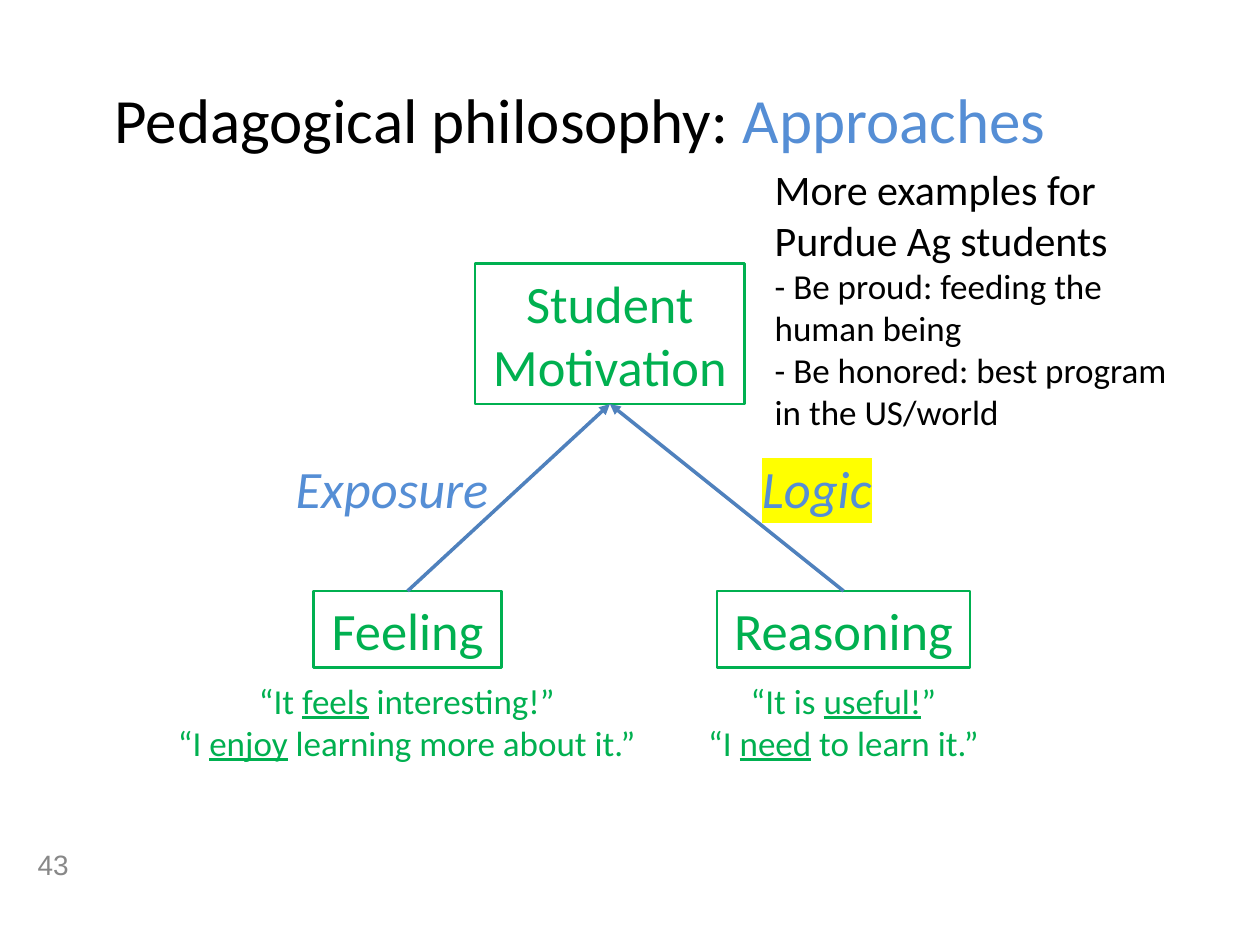
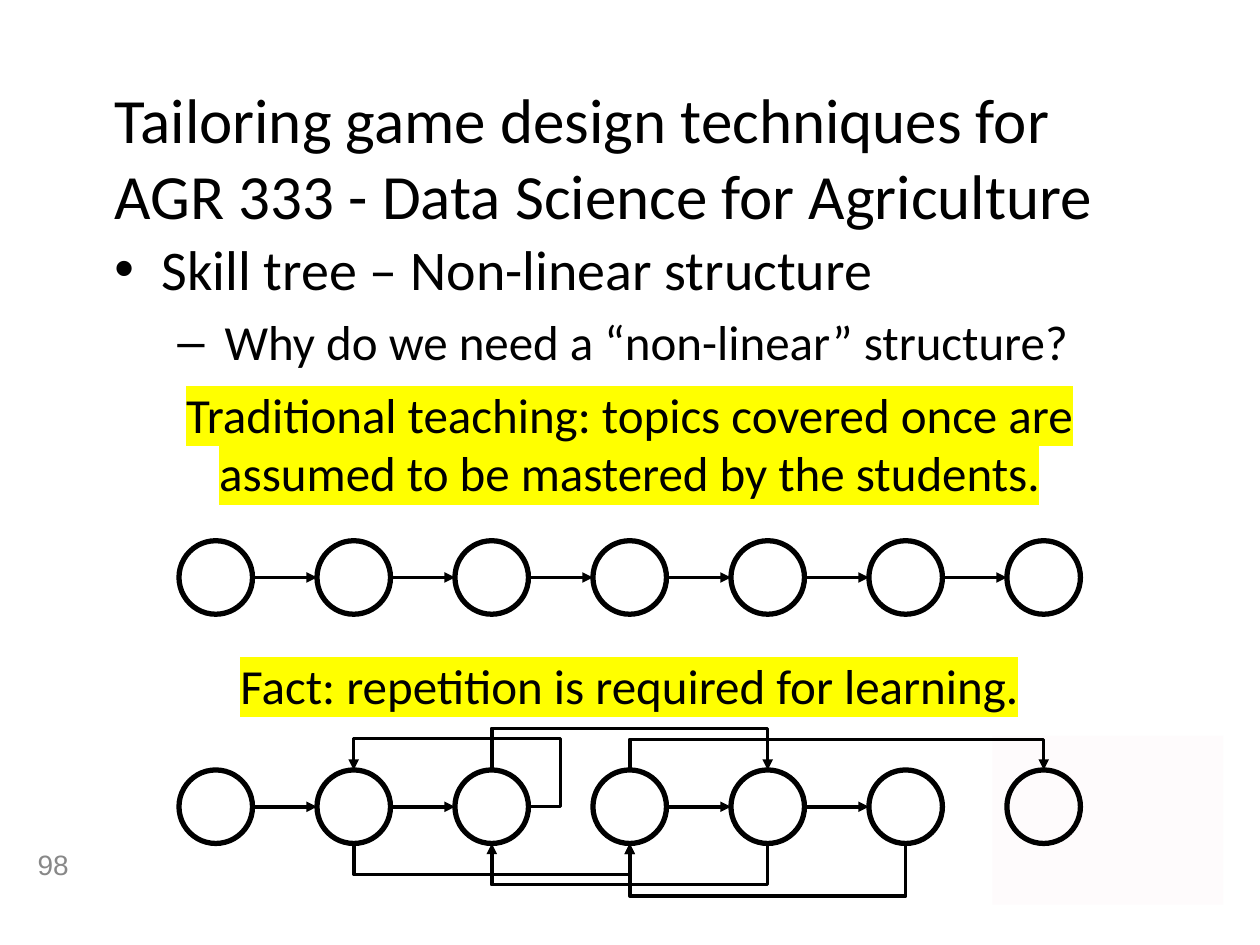
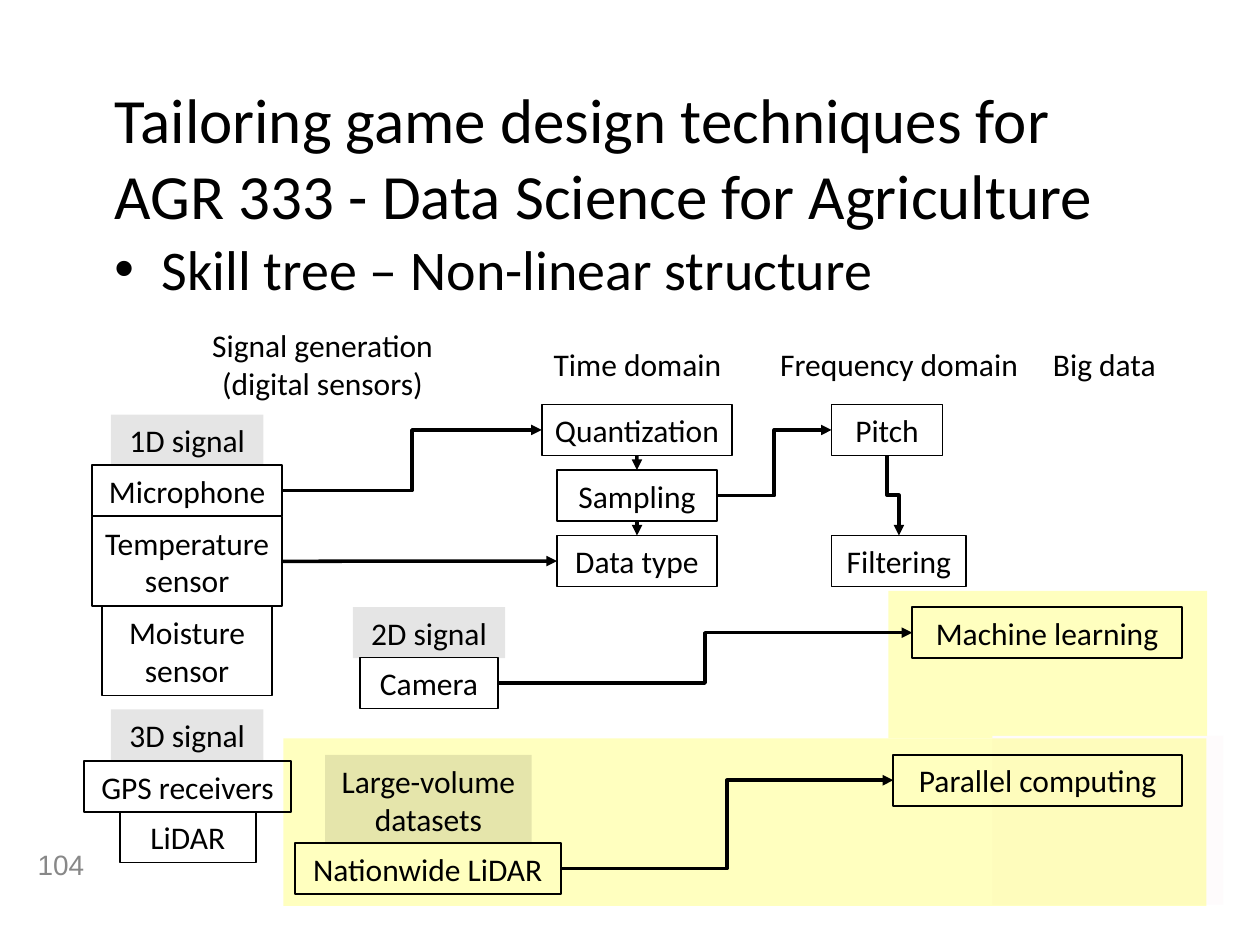
from lxml.etree import SubElement
from pptx import Presentation
from pptx.dml.color import RGBColor
from pptx.enum.shapes import MSO_CONNECTOR, MSO_SHAPE
from pptx.enum.text import MSO_ANCHOR, MSO_AUTO_SIZE, PP_ALIGN
from pptx.oxml.ns import qn
from pptx.util import Pt

BLACK, GREEN, BLUE, ARROW_BLUE = "000000", "00B050", "558ED5", "4F81BD"
YELLOW, GREY, PALE = "FFFF00", "888888", "FEFBFC"
TITLE_ONLY = 5
LEFT, CENTER = PP_ALIGN.LEFT, PP_ALIGN.CENTER
TOP, MIDDLE = MSO_ANCHOR.TOP, MSO_ANCHOR.MIDDLE
COURSE_TITLE = "Tailoring game design techniques for AGR 333 - Data Science for Agriculture"
SKILL_TREE = ("Skill tree – Non-linear structure", 32, "•", 27)
PALE_PATCH = (567, 420.5, 132, 96.5)


def color(hex_value):
    return RGBColor.from_string(hex_value)


def text_height(size, lines):
    """Height of a box that fits its lines and the standard insets."""
    return round(size * 1.22 * lines + 7.2, 1)


class Deck:
    """Holds the shared style and the slide being built."""

    def __init__(self):
        self.prs = Presentation()
        self.prs.slide_width, self.prs.slide_height = Pt(720), Pt(540)
        self.slide = None

    def new_slide(self, number, *title_runs):
        self.slide = self.prs.slides.add_slide(self.prs.slide_layouts[TITLE_ONLY])
        title = self.slide.shapes.title
        geometry = dict(left=58.3, top=42.5, width=602.6, height=95)
        for name, value in geometry.items():
            setattr(title, name, Pt(value))
        self.set_text(title, [title_runs], 36, align=LEFT, anchor=TOP)
        self.text((14.4, 479.5, 44, 28.8), [[number]], 16, GREY, anchor=MIDDLE, font="Arial")

    # Text
    def set_text(self, shape, paragraphs, size, ink=BLACK, align=LEFT, anchor=TOP,
                 wrap=True, font="Calibri"):
        """Each paragraph is a list of runs: plain strings or (string, format) pairs."""
        frame = shape.text_frame
        settings = dict(word_wrap=wrap, vertical_anchor=anchor, auto_size=MSO_AUTO_SIZE.NONE)
        for name, value in settings.items():
            setattr(frame, name, value)
        for index, runs in enumerate(paragraphs):
            paragraph = frame.add_paragraph() if index else frame.paragraphs[0]
            paragraph.alignment = align
            for item in runs:
                words, extra = item if isinstance(item, tuple) else (item, {})
                for position, line in enumerate(words.split("\n")):
                    if position:
                        paragraph.add_line_break()
                    self.add_run(paragraph, line, dict(size=size, ink=ink, name=font) | extra)
        return frame

    def add_run(self, paragraph, words, style):
        run = paragraph.add_run()
        run.text = words
        style = dict(style)
        highlight = style.pop("highlight", None)
        run.font.color.rgb = color(style.pop("ink"))
        style["size"] = Pt(style["size"])
        for name, value in style.items():
            setattr(run.font, name, value)
        if highlight:
            properties = run.font._element
            mark = SubElement(properties, qn("a:highlight"))
            SubElement(mark, qn("a:srgbClr"), val=highlight)
            properties.find(qn("a:solidFill")).addnext(mark)

    def text(self, area, paragraphs, size, ink=BLACK, **layout):
        box = self.slide.shapes.add_textbox(*map(Pt, area))
        return self.set_text(box, paragraphs, size, ink, **layout)

    def caption(self, x, y, width, lines, size, ink=BLACK, **run_format):
        """Centred lines, one paragraph each."""
        area = (x, y, width, text_height(size, len(lines)))
        self.text(area, [[(line, run_format)] for line in lines], size, ink, align=CENTER)

    def bullets(self, *points):
        frame = self.text((58.3, 130.3, 602.6, 90), [[(words, dict(size=size))]
                          for words, size, _, _ in points], 32)
        for paragraph, (_, _, sign, margin) in zip(frame.paragraphs, points):
            properties = paragraph._p.get_or_add_pPr()
            properties.set("marL", str(Pt(margin)))
            properties.set("indent", str(-Pt(27)))
            SubElement(properties, qn("a:buFont"), typeface="Arial")
            SubElement(properties, qn("a:buChar"), char=sign)
            paragraph.space_after = Pt(6)

    # Shapes
    def shape(self, area, kind=MSO_SHAPE.RECTANGLE, fill=None, opacity=None,
              line=None, weight=1):
        item = self.slide.shapes.add_shape(kind, *map(Pt, area))
        item.shadow.inherit = False
        if fill:
            item.fill.solid()
            item.fill.fore_color.rgb = color(fill)
            if opacity:
                tint = item._element.spPr.find(".//" + qn("a:srgbClr"))
                SubElement(tint, qn("a:alpha"), val=str(opacity * 1000))
        else:
            item.fill.background()
        if line:
            item.line.color.rgb = color(line)
            item.line.width = Pt(weight)
        else:
            item.line.fill.background()
        return item

    def label(self, words, x, y, width, size=18, ink=BLACK, **look):
        """A rectangle as high as its text."""
        height = text_height(size, words.count("\n") + 1)
        item = self.shape((x, y, width, height), **look)
        self.set_text(item, [[words]], size, ink, CENTER, MIDDLE, wrap=False)
        return item

    # Arrows
    def finish_arrow(self, arrow, ink):
        arrow.line.color.rgb = color(ink)
        arrow.line.width = Pt(2)
        SubElement(arrow.line._get_or_add_ln(), qn("a:tailEnd"), type="triangle")

    def arrow(self, start, end, ink=BLACK, kind=MSO_CONNECTOR.STRAIGHT):
        """Each end is an (x, y) point or a (rectangle, side) pair."""
        ends = [edge for anchor in (start, end) for edge in self.locate(*anchor)]
        link = self.slide.shapes.add_connector(kind, *ends)
        for (target, side), join in ((start, link.begin_connect), (end, link.end_connect)):
            if hasattr(target, "left"):
                join(target, side)
        self.finish_arrow(link, ink)
        SubElement(link._element.spPr, qn("a:effectLst"))

    def locate(self, target, side):
        if not hasattr(target, "left"):
            return Pt(target), Pt(side)
        across, down = ((0.5, 0), (0, 0.5), (0.5, 1), (1, 0.5))[side]
        return (int(target.left + across * target.width),
                int(target.top + down * target.height))

    def route(self, *points):
        """A right-angled arrow through the given points."""
        start, *rest = [(Pt(x), Pt(y)) for x, y in points]
        builder = self.slide.shapes.build_freeform(*start)
        builder.add_line_segments(rest, close=False)
        track = builder.convert_to_shape()
        track.shadow.inherit = False
        track.fill.background()
        self.finish_arrow(track, BLACK)


def approaches_slide(deck):
    deck.new_slide("43", "Pedagogical philosophy: ", ("Approaches", dict(ink=BLUE)))

    # Motivation and its two sources
    green = dict(size=30, ink=GREEN, line=GREEN, weight=1.5)
    motivation = deck.label("Student\nMotivation", 271.5, 150.5, 154, **green)
    feeling = deck.label("Feeling", 179.3, 337.7, 107.3, **green)
    reasoning = deck.label("Reasoning", 409.7, 337.7, 144.7, **green)
    for source in (feeling, reasoning):
        deck.arrow((source, 0), (motivation, 2), ARROW_BLUE)
    deck.caption(155.5, 257, 137, ["Exposure"], 30, BLUE, italic=True)
    deck.caption(398.2, 257, 137, ["Logic"], 30, BLUE, italic=True, highlight=YELLOW)

    # What students say
    under = dict(underline=True)
    deck.text((52.5, 384.5, 360, 55.5), [
        ["“It ", ("feels", under), " interesting!”"],
        ["“I ", ("enjoy", under), " learning more about it.”"]], 20, GREEN, align=CENTER)
    deck.text((298, 384.5, 368, 55.5), [
        ["“It is ", ("useful!", under), "”"],
        ["“I ", ("need", under), " to learn it.”"]], 20, GREEN, align=CENTER)

    # Examples
    deck.text((435.6, 90, 238.3, 186), [
        [("More examples for Purdue Ag students", dict(size=24))],
        ["- Be proud: feeding the human being"],
        ["- Be honored: best program in the US/world"]], 20)


def repetition_slide(deck):
    deck.new_slide("98", COURSE_TITLE)
    deck.shape(PALE_PATCH, fill=PALE)
    deck.bullets(SKILL_TREE, ("Why do we need a “non-linear” structure?", 28, "–", 63))
    deck.text((54, 216, 611.3, 75), [[(
        "Traditional teaching: topics covered once are assumed to be mastered by the students.",
        dict(highlight=YELLOW))]], 28, align=CENTER)
    deck.caption(54, 370.8, 611.3, ["Fact: repetition is required for learning."], 28,
                 highlight=YELLOW)

    # Two rows of topics
    diameter, step, first = 42, 78.85, 102.3
    lefts = [first + step * n for n in range(7)]
    linear_top, tree_top = 309, 440
    for top, linked in ((linear_top, range(6)), (tree_top, (0, 1, 3, 4))):
        for left in lefts:
            deck.shape((left, top, diameter, diameter), MSO_SHAPE.OVAL, line=BLACK, weight=3)
        middle = top + diameter / 2
        for n in linked:
            deck.arrow((lefts[n] + diameter, middle), (lefts[n + 1], middle))

    # Jumps between topics: from, to, height of the level run
    centers = [left + diameter / 2 for left in lefts]
    bottom = tree_top + diameter
    for origin, target, level in ((1, 3, 499.7), (4, 2, 505.5), (5, 3, 512),
                                  (2, 4, 416.2), (3, 6, 422.6)):
        edge = tree_top if level < tree_top else bottom
        x1, x2 = centers[origin], centers[target]
        deck.route((x1, edge), (x1, level), (x2, level), (x2, edge))
    middle, turn, level = tree_top + diameter / 2, 320.4, 422
    deck.route((lefts[2] + diameter, middle), (turn, middle), (turn, level),
               (centers[1], level), (centers[1], tree_top))


def skill_tree_slide(deck):
    deck.new_slide("104", COURSE_TITLE)

    # Big data region
    deck.shape((507.6, 337.7, 182.2, 84.2), fill=YELLOW, opacity=25)
    deck.shape(PALE_PATCH, fill=PALE)
    deck.shape((162, 421.9, 527.4, 95.8), fill=YELLOW, opacity=25)
    deck.bullets(SKILL_TREE)

    # Column heads
    for x, y, width, lines in (
            (111.6, 182.9, 145.4, ["Signal generation", "(digital sensors)"]),
            (291.6, 193.7, 145.4, ["Time domain"]),
            (437.8, 193.7, 151.9, ["Frequency domain"]),
            (589, 193.7, 84.2, ["Big data"])):
        deck.caption(x, y, width, lines, 18)

    # Signal types
    for words, x, y, width in (
            ("1D signal", 63.4, 236.9, 87.1), ("2D signal", 201.6, 347, 87.1),
            ("3D signal", 63.4, 405.4, 87.1),
            ("Large-volume\ndatasets", 185.8, 431.3, 118.1)):
        deck.label(words, x, y, width, fill=BLACK, opacity=10)

    # Skills
    skills = {words: deck.label(words, x, y, width, line=BLACK) for words, x, y, width in (
        ("Microphone", 52.6, 265.7, 108.7), ("Temperature\nsensor", 52.6, 295.2, 108.7),
        ("Moisture\nsensor", 58.3, 346.3, 97.2), ("Camera", 205.9, 375.8, 78.5),
        ("GPS receivers", 48.2, 434.9, 118.1), ("LiDAR", 68.4, 463.7, 77.8),
        ("Nationwide LiDAR", 168.5, 481.7, 151.9), ("Quantization", 309.6, 231.1, 108.7),
        ("Sampling", 318.3, 268.6, 91.4), ("Data type", 318.3, 306, 91.4),
        ("Pitch", 475.2, 231.1, 63.4), ("Filtering", 475.2, 306, 77),
        ("Machine learning", 521.3, 347, 154.1), ("Parallel computing", 510.5, 431.3, 164.9))}

    # Paths through the tree
    for origin, target in (("Microphone", "Quantization"), ("Sampling", "Pitch"),
                           ("Camera", "Machine learning"),
                           ("Nationwide LiDAR", "Parallel computing")):
        deck.arrow((skills[origin], 3), (skills[target], 1), kind=MSO_CONNECTOR.ELBOW)
    deck.arrow((skills["Temperature\nsensor"], 3), (skills["Data type"], 1))
    for origin, target in (("Quantization", "Sampling"), ("Sampling", "Data type")):
        deck.arrow((skills[origin], 2), (skills[target], 0))
    deck.route((506.9, 260.2), (506.9, 283), (513.7, 283), (513.7, 306))


def main():
    deck = Deck()
    approaches_slide(deck)
    repetition_slide(deck)
    skill_tree_slide(deck)
    deck.prs.save("out.pptx")


if __name__ == "__main__":
    main()
